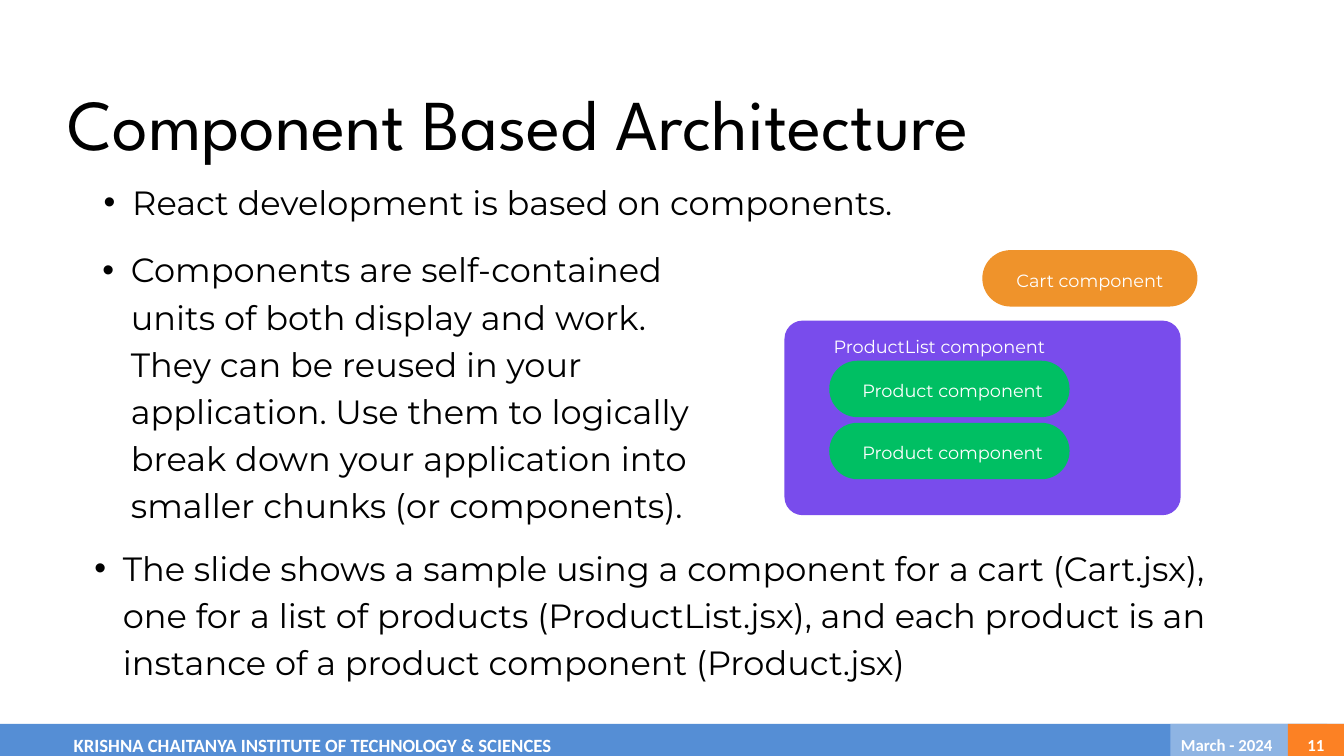
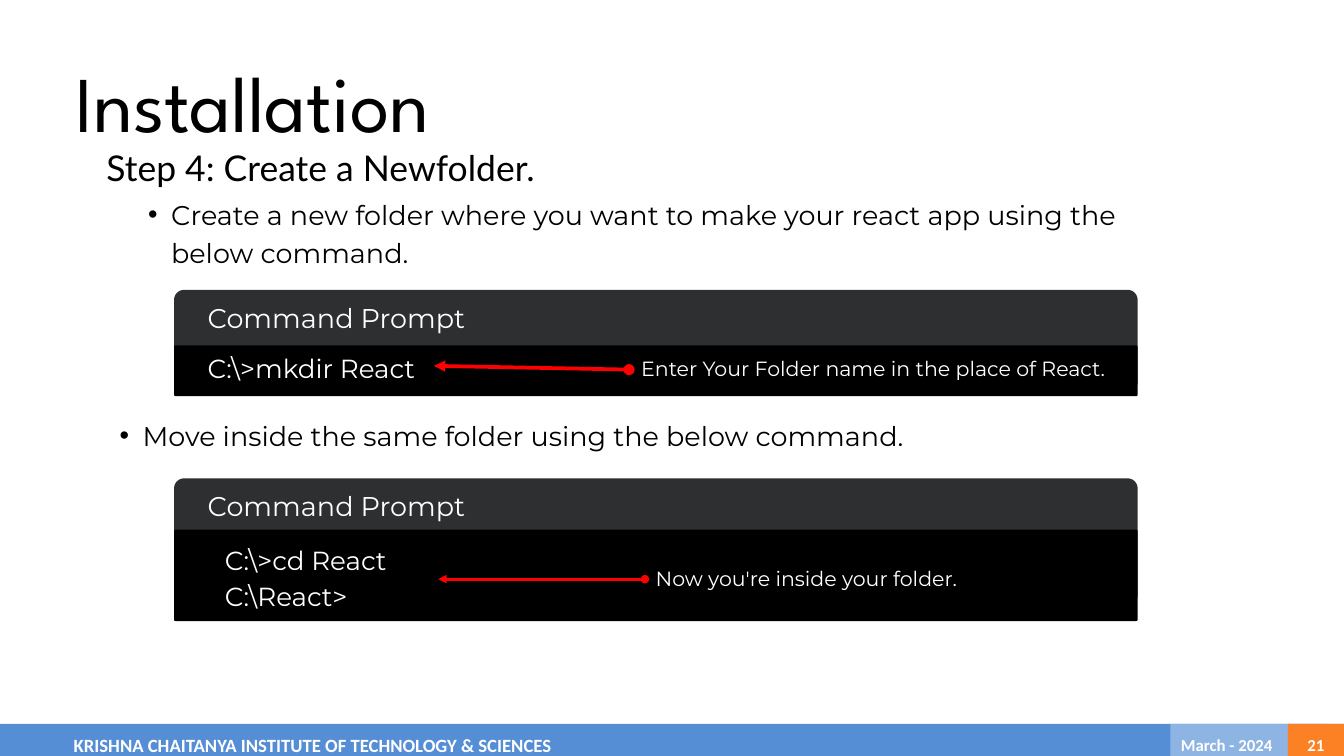
from lxml import etree
from pptx import Presentation
from pptx.dml.color import RGBColor
from pptx.enum.shapes import MSO_CONNECTOR, MSO_SHAPE as SHAPE
from pptx.enum.text import MSO_ANCHOR as ANCHOR, MSO_AUTO_SIZE, PP_ALIGN as ALIGN
from pptx.oxml.ns import qn
from pptx.util import Pt

COLORS = {
    "black": "000000", "white": "FFFFFF", "red": "FF0000",
    "purple": "794CEC", "orange": "EF932B", "green": "00BF63",
    "window": "2D2F30", "bar": "558ED5", "date": "8EB4E3", "number": "FC8124",
}
TITLE_FONT, BODY_FONT, STEP_FONT, FOOTER_FONT = (
    "League Spartan", "Montserrat", "Lato", "Calibri")
LEADING = 1.4  # exact line height as a multiple of the font size
WIDTH, HEIGHT = 1440, 810
FOOTER_TOP, FOOTER_HEIGHT = 775.5, 44.5
WINDOW_LEFT, WINDOW_WIDTH = 186.5, 1032.5


def rgb(name):
    return RGBColor.from_string(COLORS[name])


def set_attrs(obj, values):
    for name, value in values.items():
        setattr(obj, name, value)


class Deck:
    """Holds the shared style and the slide being built."""

    def __init__(self):
        self.prs = Presentation()
        set_attrs(self.prs, {"slide_width": Pt(WIDTH), "slide_height": Pt(HEIGHT)})
        self.s = None

    def new_slide(self, title, box, size):
        self.s = self.prs.slides.add_slide(self.prs.slide_layouts[5])
        sp = self.s.shapes.title
        set_attrs(sp, dict(zip(("left", "top", "width", "height"), map(Pt, box))))
        self.fill_text(sp, [title], size, font=TITLE_FONT)

    def fill_text(self, sp, lines, size, color="black", font=BODY_FONT, bold=False,
                  align=ALIGN.LEFT, anchor=ANCHOR.TOP, inset=0, bullet=False,
                  leading=LEADING):
        """Fill a shape's text frame, one paragraph for each line."""
        tf = sp.text_frame
        set_attrs(tf, {
            "word_wrap": True, "auto_size": MSO_AUTO_SIZE.NONE,
            "vertical_anchor": anchor, "margin_left": Pt(inset),
            "margin_top": 0, "margin_right": 0, "margin_bottom": 0})
        for i, line in enumerate(lines):
            p = tf.paragraphs[0] if i == 0 else tf.add_paragraph()
            set_attrs(p, {"alignment": align, "line_spacing": Pt(size * leading)})
            if bullet:
                self.add_bullet(p, size)
            r = p.add_run()
            r.text = line
            set_attrs(r.font, {"name": font, "size": Pt(size), "bold": bold})
            r.font.color.rgb = rgb(color)

    def add_bullet(self, p, size):
        """Hanging bullet whose indent follows the font size."""
        p.level = 1
        pPr = p._p.get_or_add_pPr()
        pPr.set("marL", str(Pt(size * 1.7)))
        pPr.set("indent", str(-Pt(size * 0.85)))
        etree.SubElement(pPr, qn("a:buFont")).set("typeface", "Arial")
        etree.SubElement(pPr, qn("a:buChar")).set("char", "•")

    def text(self, box, lines, size, **style):
        sp = self.s.shapes.add_textbox(*map(Pt, box))
        self.fill_text(sp, lines, size, **style)
        return sp

    def block(self, box, color, radius=0):
        kind = SHAPE.ROUNDED_RECTANGLE if radius else SHAPE.RECTANGLE
        sp = self.s.shapes.add_shape(kind, *map(Pt, box))
        if radius:
            sp.adjustments[0] = radius / min(box[2:])
        sp.shadow.inherit = False
        sp.fill.solid()
        sp.fill.fore_color.rgb = rgb(color)
        sp.line.fill.background()
        return sp

    def pill(self, box, color, label, inset=0):
        sp = self.block(box, color, radius=box[3] / 2)
        self.fill_text(sp, [label], 19, color="white", align=ALIGN.CENTER,
                       anchor=ANCHOR.MIDDLE, inset=inset)

    def command_window(self, top, height, body_top, body_height):
        """Grey title bar with rounded corners above a black command area."""
        self.block((WINDOW_LEFT, top, WINDOW_WIDTH, height), "window", radius=10.8)
        self.block((WINDOW_LEFT, body_top, WINDOW_WIDTH, body_height), "black", radius=1.8)
        self.text((WINDOW_LEFT + 36, top + 6.5, 962.5, 38), ["Command Prompt"], 29, color="white")

    def arrow(self, start, end, width, source=None):
        """Red line with a triangle at its start and a dot at its end."""
        line = self.s.shapes.add_connector(MSO_CONNECTOR.STRAIGHT, *map(Pt, start + end))
        if source is not None:
            line.begin_connect(source, 3)
        line.line.width = Pt(width)
        line.line.color.rgb = rgb("red")
        ln = line.line._get_or_add_ln()
        for tag, kind in (("a:headEnd", "triangle"), ("a:tailEnd", "oval")):
            etree.SubElement(ln, qn(tag)).set("type", kind)
        etree.SubElement(line._element.spPr, qn("a:effectLst"))

    def footer(self, number):
        parts = (
            (0, WIDTH, "bar", "KRISHNA CHAITANYA INSTITUTE OF TECHNOLOGY & SCIENCES",
             20, ALIGN.LEFT, 79),
            (1254, 168, "date", "March - 2024", 18, ALIGN.LEFT, 11.3),
            (1380, 60, "number", str(number), 18, ALIGN.CENTER, 0),
        )
        for left, width, color, label, size, align, inset in parts:
            sp = self.block((left, FOOTER_TOP, width, FOOTER_HEIGHT), color)
            self.fill_text(sp, [label], size, color="white", font=FOOTER_FONT, bold=True,
                           align=align, anchor=ANCHOR.MIDDLE, inset=inset, leading=1.22)


def architecture_slide(deck):
    deck.new_slide("Component Based Architecture", (72.5, 69, 1350, 104), 76.6)

    deck.block((840.5, 343.5, 424.5, 208.5), "purple", radius=19.5)
    deck.pill((1052.5, 268, 230.5, 60.5), "orange", "Cart component")
    for i in range(2):
        deck.pill((888.5, 386.5 + i * 66.5, 257.5, 60.5), "green", "Product component", inset=7)
    deck.text((888.5, 356.5, 236, 24.5), ["ProductList component"], 19,
              color="white", align=ALIGN.CENTER)

    bullets = (
        ((79, 260, 690, 300),
         "Components are self-contained units of both display and work. They can be reused "
         "in your application. Use them to logically break down your application into "
         "smaller chunks (or components)."),
        ((80.5, 188, 972, 45), "React development is based on components."),
        ((70.5, 579.5, 1288, 150),
         "The slide shows a sample using a component for a cart (Cart.jsx), one for a list "
         "of products (ProductList.jsx), and each product is an instance of a product "
         "component (Product.jsx)"),
    )
    for box, line in bullets:
        deck.text(box, [line], 36, bullet=True)
    deck.footer(11)


def installation_slide(deck):
    deck.new_slide("Installation", (80.5, 41, 593, 115), 84.6)
    deck.text((114, 149, 932, 51), ["Step 4: Create a Newfolder."], 38, font=STEP_FONT)
    deck.text((134, 206.5, 1157, 80),
              ["Create a new folder where you want to make your react app using the "
               "below command."], 29, bullet=True)
    deck.text((103.5, 443.5, 1105, 37),
              ["Move inside the same folder using the below command."], 29, bullet=True)

    deck.command_window(310.5, 109.5, 370, 54.5)
    command = deck.text((222.5, 372, 242.5, 40), ["C:\\>mkdir React"], 28, color="white")
    deck.text((687, 377.5, 506, 29), ["Enter Your Folder name in the place of React."],
              22, color="white")
    deck.arrow((465, 392), (674, 396), 4, source=command)

    deck.command_window(512.5, 136, 567.5, 98)
    deck.text((241, 577.5, 224, 76), ["C:\\>cd React", "C:\\React>"], 28, color="white")
    deck.text((702.5, 602.5, 506, 29.5), ["Now you're inside your folder."], 22, color="white")
    deck.arrow((469.5, 620.5), (691, 620.5), 3)
    deck.footer(21)


def main():
    deck = Deck()
    architecture_slide(deck)
    installation_slide(deck)
    deck.prs.save("out.pptx")


if __name__ == "__main__":
    main()
